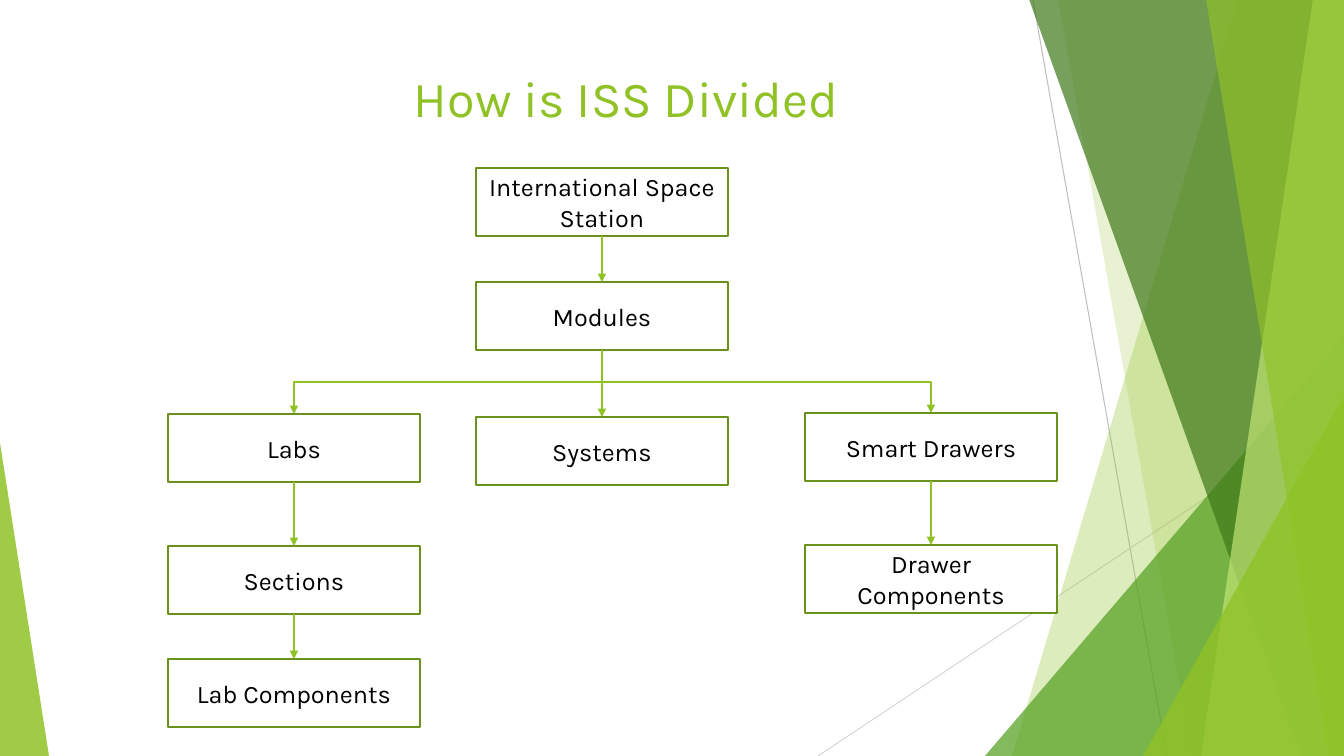
from pptx import Presentation
from pptx.dml.color import RGBColor
from pptx.enum.shapes import MSO_CONNECTOR, MSO_SHAPE
from pptx.enum.text import MSO_ANCHOR, PP_ALIGN
from pptx.oxml.ns import qn
from pptx.util import Pt
from lxml import etree

STRAIGHT, ELBOW = MSO_CONNECTOR.STRAIGHT, MSO_CONNECTOR.ELBOW
RECTANGLE, TRIANGLE = MSO_SHAPE.RECTANGLE, MSO_SHAPE.ISOSCELES_TRIANGLE
MIDDLE, CENTER = MSO_ANCHOR.MIDDLE, PP_ALIGN.CENTER
PX = 914400 / 100.8
FONT = "Karla"
GREEN = "90C226"
color = RGBColor.from_string


def px(*lengths):
    return [round(length * PX) for length in lengths]


def add_line(kind, ends, hex_color, width, arrow=False):
    line = slide.shapes.add_connector(kind, *px(*ends))
    line.line.color.rgb = color(hex_color)
    line.line.width = Pt(width)
    if arrow:
        etree.SubElement(line.line._get_or_add_ln(), qn("a:tailEnd"), type="triangle")
    etree.SubElement(line._element.spPr, qn("a:effectLst"))
    return line


prs = Presentation()
prs.slide_width, prs.slide_height = px(1344, 756)
slide = prs.slides.add_slide(prs.slide_layouts[6])

# Thin background lines
add_line(STRAIGHT, (1033, 0, 1167, 756), "BFBFBF", 0.75)
add_line(STRAIGHT, (1344, 406, 818, 756), "D9D9D9", 0.75)

# Translucent facets, back to front: bands (top x, bottom x) reach the right
# edge, triangles have a box and the position of their tip
facets = [
    ("band", (1238, 1012), GREEN, 30),
    ("band", (1058, 1192), GREEN, 20),
    ("triangle", (985, 336, 359, 420, 1), "54A021", 72),
    ("band", (1029, 1301), "3F7819", 70),
    ("band", (1313, 1201), "C0E474", 70),
    ("band", (1206, 1329), GREEN, 65),
    ("triangle", (1143, 396, 201, 360, 1), GREEN, 80),
    ("triangle", (0, 443, 49, 313, 0), GREEN, 85),
]
for kind, geometry, hex_color, opacity in facets:
    if kind == "band":
        top_x, bottom_x = geometry
        outline = slide.shapes.build_freeform(top_x, -1, scale=PX)
        outline.add_line_segments([(1344, -1), (1344, 756), (bottom_x, 756)])
        facet = outline.convert_to_shape()
    else:
        *box, tip = geometry
        facet = slide.shapes.add_shape(TRIANGLE, *px(*box))
        facet.adjustments[0] = tip
    facet.shadow.inherit = False
    facet.line.fill.background()
    facet.fill.solid()
    facet.fill.fore_color.rgb = color(hex_color)
    tint = facet._element.spPr.find(qn("a:solidFill"))[0]
    etree.SubElement(tint, qn("a:alpha"), val=str(opacity * 1000))

# Title
title = slide.shapes.add_textbox(*px(404, 62, 940, 145))
title.text_frame.word_wrap = True
title.text_frame.text = "How is ISS Divided"
title_font = title.text_frame.paragraphs[0].runs[0].font
title_font.name, title_font.size = FONT, Pt(36)
title_font.color.rgb = color(GREEN)

# Boxes of the hierarchy
BOX_W, BOX_H = 252, 68
LABS_X, MODULES_X, DRAWERS_X = 168, 476, 805
units = [
    ("International Space Station", MODULES_X, 168),
    ("Modules", MODULES_X, 282),
    ("Labs", LABS_X, 414),
    ("Systems", MODULES_X, 417),
    ("Smart Drawers", DRAWERS_X, 413),
    ("Sections", LABS_X, 546),
    ("Drawer Components", DRAWERS_X, 545),
    ("Lab Components", LABS_X, 659),
]
for label, left, top in units:
    unit = slide.shapes.add_shape(RECTANGLE, *px(left, top, BOX_W, BOX_H))
    unit.shadow.inherit = False
    unit.fill.solid()
    unit.fill.fore_color.rgb = color("FFFFFF")
    unit.line.color.rgb = color("6B901C")
    unit.line.width = Pt(1.5)
    unit.text_frame.word_wrap = True
    unit.text_frame.vertical_anchor = MIDDLE
    unit.text_frame.text = label
    paragraph = unit.text_frame.paragraphs[0]
    paragraph.alignment = CENTER
    font = paragraph.runs[0].font
    font.name, font.size = FONT, Pt(18)
    font.color.rgb = color("000000")

# Straight arrows between stacked boxes
tops = {label: (left, top) for label, left, top in units}
links = [
    ("International Space Station", "Modules"),
    ("Modules", "Systems"),
    ("Labs", "Sections"),
    ("Smart Drawers", "Drawer Components"),
    ("Sections", "Lab Components"),
]
for parent, child in links:
    left, parent_top = tops[parent]
    middle = left + BOX_W // 2
    add_line(STRAIGHT, (middle, parent_top + BOX_H, middle, tops[child][1]), GREEN, 1, True)

# Elbow from Modules down to Labs: a sideways elbow turned by 90 degrees
modules_mid, labs_mid, drawers_mid = (x + BOX_W // 2 for x in (MODULES_X, LABS_X, DRAWERS_X))
start_y, labs_y = tops["Modules"][1] + BOX_H, tops["Labs"][1]
mid_x, mid_y = (modules_mid + labs_mid) / 2, (start_y + labs_y) / 2
half_w, half_h = (labs_y - start_y) / 2, (modules_mid - labs_mid) / 2
labs_elbow = add_line(
    ELBOW, (mid_x - half_w, mid_y - half_h, mid_x + half_w, mid_y + half_h), GREEN, 1, True)
labs_elbow._element.spPr.find(qn("a:xfrm")).set("rot", "5400000")

# Single-bend elbow from the branch to Smart Drawers
drawers_elbow = add_line(
    ELBOW, (modules_mid, mid_y, drawers_mid, tops["Smart Drawers"][1]), GREEN, 1, True)
drawers_elbow._element.spPr.find(qn("a:prstGeom")).set("prst", "bentConnector2")

prs.save("out.pptx")
